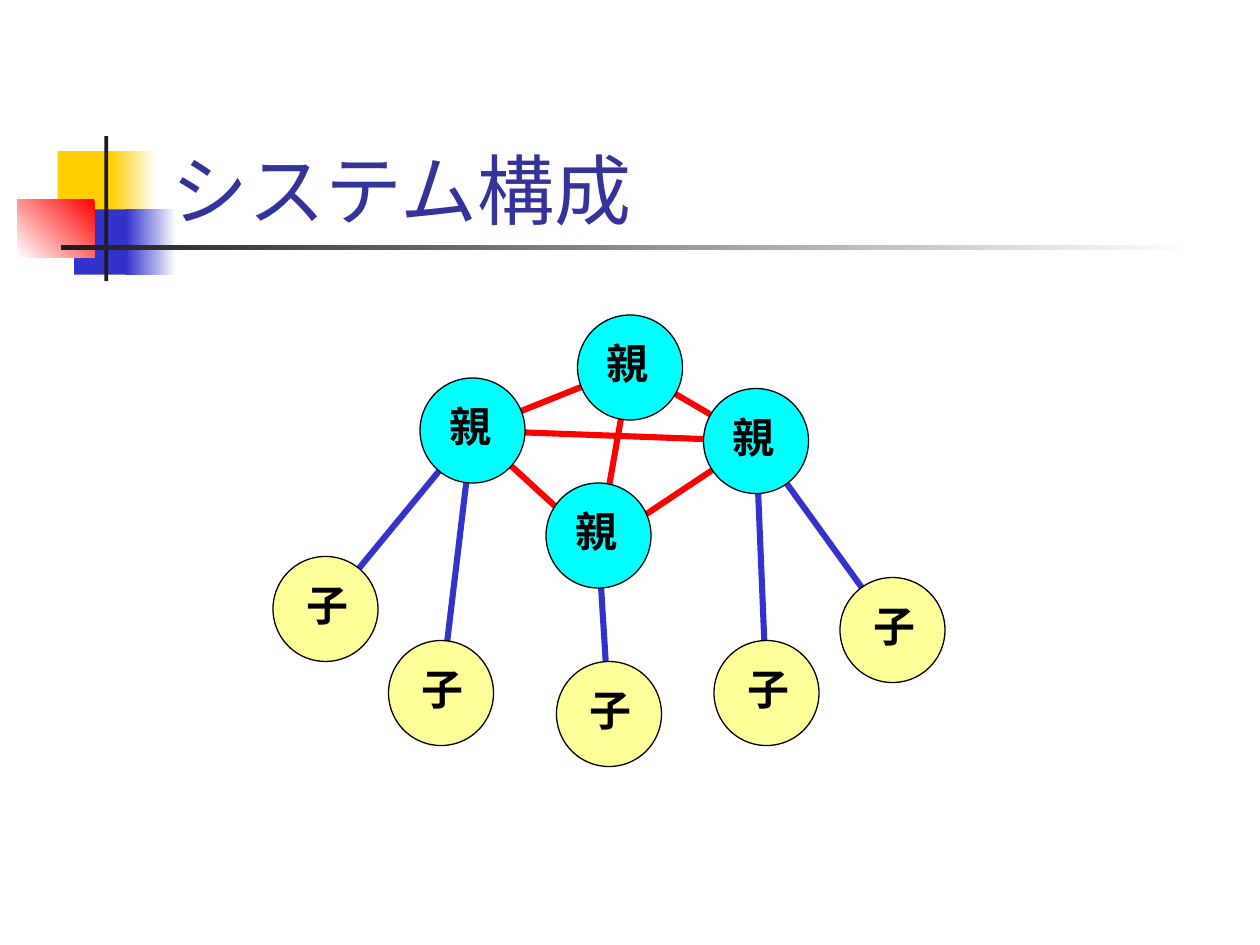
from lxml.etree import SubElement
from pptx import Presentation
from pptx.dml.color import RGBColor
from pptx.enum.shapes import MSO_CONNECTOR, MSO_SHAPE
from pptx.enum.text import MSO_ANCHOR, MSO_AUTO_SIZE, PP_ALIGN
from pptx.oxml.ns import qn
from pptx.util import Pt

COLORS = {
    "white": "FFFFFF",
    "black": "000000",
    "yellow": "FFCF01",
    "blue": "3333CC",
    "red": "FF0000",
    "bar": "1C1C1C",
    "title": "333399",
    "parent": "00FFFF",
    "child": "FFFF99",
}
FONT = "Cabin"
DIAMETER = 60
LABEL_SIZE = (38, 34)

# Node centres, relative to the diagram box
PARENTS = {
    "right": (276, 72),
    "bottom": (186, 126),
    "top": (204, 30),
    "left": (114, 66),
}
CHILDREN = [
    ("left", (30, 168)),
    ("left", (96, 216)),
    ("bottom", (192, 228)),
    ("right", (282, 216)),
    ("right", (354, 180)),
]
# Where links meet each parent; the bottom one lies just below its centre
HUBS = PARENTS | {"bottom": (186, 132)}
PARENT_LINKS = [
    ("bottom", "right"),
    ("right", "top"),
    ("right", "left"),
    ("bottom", "left"),
    ("bottom", "top"),
    ("left", "top"),
]


def rgb(name):
    return RGBColor.from_string(COLORS[name])


def write_text(frame, text, size, color="black", bold=False,
               align=PP_ALIGN.LEFT, anchor=MSO_ANCHOR.TOP):
    frame.vertical_anchor = anchor
    frame.margin_left = frame.margin_right = Pt(7.2)
    frame.margin_top = frame.margin_bottom = Pt(3.6)
    paragraph = frame.paragraphs[0]
    paragraph.alignment = align
    paragraph.line_spacing = 0.93
    run = paragraph.add_run()
    run.text = text
    run.font.name = FONT
    run.font.size = Pt(size)
    run.font.bold = bold
    run.font.color.rgb = rgb(color)


def add_block(slide, left, top, width, height, colors, angle=180):
    """Borderless rectangle: one colour is solid, two make a gradient."""
    block = slide.shapes.add_shape(
        MSO_SHAPE.RECTANGLE, Pt(left), Pt(top), Pt(width), Pt(height))
    block.shadow.inherit = False
    block.line.fill.background()
    if len(colors) == 1:
        block.fill.solid()
        block.fill.fore_color.rgb = rgb(colors[0])
    else:
        block.fill.gradient()
        block.fill.gradient_angle = angle
        for stop, color in zip(block.fill.gradient_stops, colors):
            stop.color.rgb = rgb(color)


def add_ornament(slide, left, top):
    """Overlapping squares with a vertical bar and a fading rule."""
    blocks = [
        (23, 8.6, 34.6, 37.4, ["yellow"]),
        (53.3, 8.6, 26, 37.4, ["white", "yellow"]),
        (32.4, 41.8, 33.1, 37.4, ["blue"]),
        (62, 41.8, 28.8, 37.4, ["white", "blue"]),
        (0, 36, 44, 33.1, ["red", "white"], 225),
        (49.7, 0, 2.2, 82.8, ["bar"]),
        (24.6, 62.4, 648, 2.4, ["white", "bar"]),
    ]
    for x, y, *rest in blocks:
        add_block(slide, left + x, top + y, *rest)


def add_title(slide, left, top, width, height):
    title = slide.shapes.title
    title.left, title.top = Pt(left), Pt(top)
    title.width, title.height = Pt(width), Pt(height)
    write_text(title.text_frame, "システム構成", 44, color="title",
               anchor=MSO_ANCHOR.BOTTOM)
    # Bring the title in front of the ornament
    title.element.getparent().append(title.element)


def add_link(slide, left, top, start, end, color):
    link = slide.shapes.add_connector(
        MSO_CONNECTOR.STRAIGHT,
        Pt(left + start[0]), Pt(top + start[1]),
        Pt(left + end[0]), Pt(top + end[1]))
    link.line.color.rgb = rgb(color)
    link.line.width = Pt(3.5)
    SubElement(link.element.spPr, qn("a:effectLst"))


def add_node(slide, center_x, center_y, text, color, label_offset, align):
    left, top = center_x - DIAMETER / 2, center_y - DIAMETER / 2
    circle = slide.shapes.add_shape(
        MSO_SHAPE.OVAL, Pt(left), Pt(top), Pt(DIAMETER), Pt(DIAMETER))
    circle.shadow.inherit = False
    circle.fill.solid()
    circle.fill.fore_color.rgb = rgb(color)
    circle.line.color.rgb = rgb("black")
    circle.line.width = Pt(0.75)

    label = slide.shapes.add_textbox(
        Pt(left + label_offset), Pt(top + 12), *map(Pt, LABEL_SIZE))
    label.text_frame.word_wrap = True
    label.text_frame.auto_size = MSO_AUTO_SIZE.SHAPE_TO_FIT_TEXT
    write_text(label.text_frame, text, 24, bold=True, align=align)


def add_network(slide, left, top):
    """Fully linked parents, each child hanging from one parent."""
    for parent, center in CHILDREN:
        add_link(slide, left, top, center, HUBS[parent], "blue")
    for start, end in PARENT_LINKS:
        add_link(slide, left, top, HUBS[start], HUBS[end], "red")
    for _, (x, y) in CHILDREN:
        add_node(slide, left + x, top + y, "子", "child", 12, PP_ALIGN.CENTER)
    for x, y in PARENTS.values():
        add_node(slide, left + x, top + y, "親", "parent", 9.6, PP_ALIGN.LEFT)


def main():
    deck = Presentation()
    deck.slide_width, deck.slide_height = Pt(720), Pt(540)
    slide = deck.slides.add_slide(deck.slide_layouts[5])
    add_ornament(slide, 10, 77.8)
    add_title(slide, 90.7, 56.9, 613.4, 82.1)
    add_network(slide, 156, 180)
    deck.save("out.pptx")


if __name__ == "__main__":
    main()
